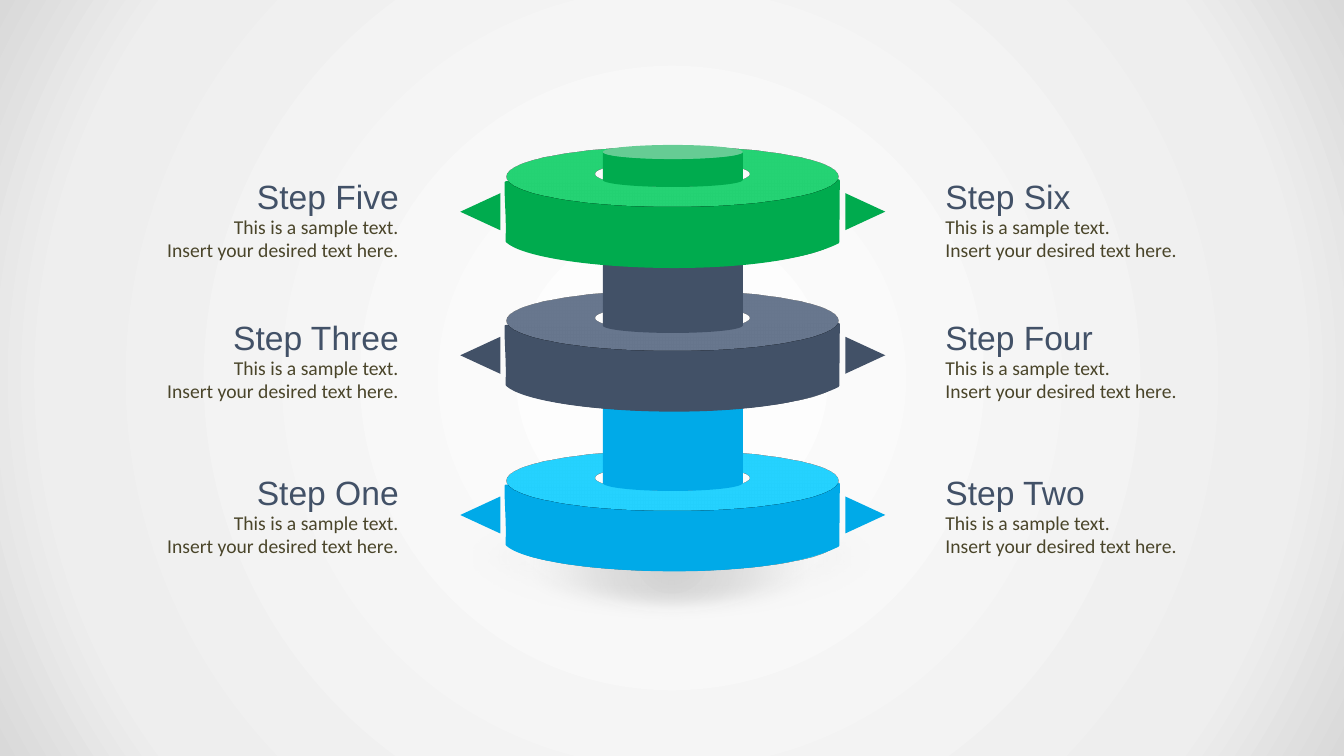
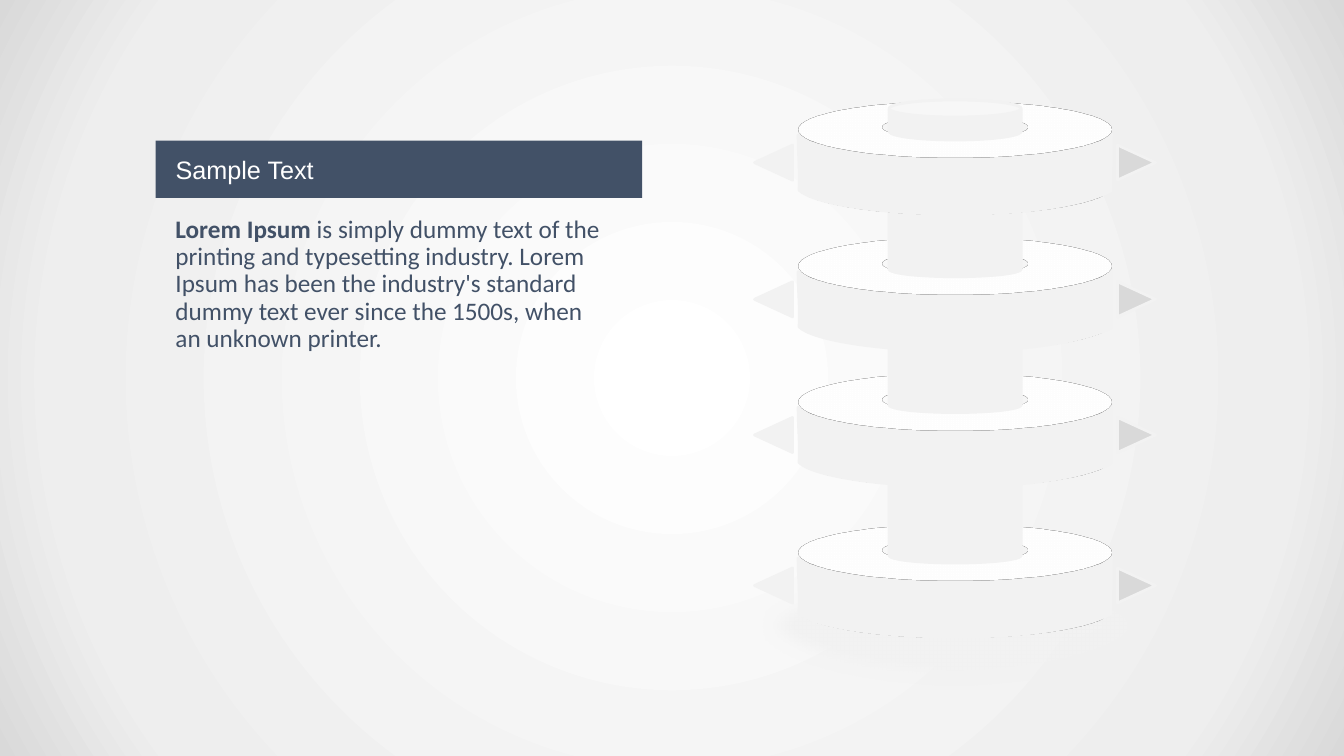
"""Builds two slides of stacked ring diagrams with step labels."""
from dataclasses import dataclass

from lxml import etree
from pptx import Presentation
from pptx.dml.color import RGBColor
from pptx.enum.shapes import MSO_SHAPE
from pptx.enum.text import MSO_ANCHOR, PP_ALIGN
from pptx.oxml.ns import qn
from pptx.util import Emu, Pt

CAN, OVAL, TRIANGLE = MSO_SHAPE.CAN, MSO_SHAPE.OVAL, MSO_SHAPE.ISOSCELES_TRIANGLE
LEFT, RIGHT, MIDDLE = PP_ALIGN.LEFT, PP_ALIGN.RIGHT, MSO_ANCHOR.MIDDLE
SCALE = 914400 / 100.8
HEADING_FONT, BODY_FONT = "Arial", "Calibri"
SOFT_EDGE = Pt(12)
TILT = "16788000"
BEZIER = 0.5523
RING_RADII, HOLE_RADII, RING_GAP = (164.5, 174), (77, 73), 60
BAND_START, BAND_HEIGHT = (-166.5, 9), 87
BAND_STEPS = [
    [(-85, 10)],
    [(-62.5, 24), (64.5, 27), (86.5, 8)],
    [(166, 7)],
    [(165.5, 68.5)],
    [(87.5, 107), (-136, 95), (-165.5, 67.5)],
    [(-164.5, 44), (-166.5, 32), BAND_START],
]
COLOURS = {
    "blue": "00AAE8", "navy": "425167", "green": "00AB4E", "pale": "F2F2F2",
    "arrow": "D9D9D9", "olive": "4A452A", "white": "FFFFFF",
}
BACKGROUND_STOPS = [(0, "FFFFFF", 100), (81, "EEEEEE", 100), (100, "D9D9D9", 100)]
SHADOW_STOPS = [(0, "BFBFBF", 74), (35, "D9D9D9", 73), (63, "F2F2F2", 51), (100, "F2F2F2", 15)]
SAMPLE_LINES = ["This is a sample text.", "Insert your desired text here."]
LOREM = (" is simply dummy text of the printing and typesetting industry. Lorem Ipsum has been "
         "the industry's standard dummy text ever since the 1500s, when an unknown printer.")


@dataclass
class Stack:
    """Sizes shared by every level of one stack."""
    centre_x: float
    factor: float
    can_left: float
    can_width: float
    arrow_centres: tuple
    arrow_size: tuple
    arrow_drop: float
    line: str
    right_arrow: str


STEP_STACK = Stack(672.5, 1, 602.8, 140, (480.3, 865.3), (37, 40), 38, None, None)
PALE_STACK = Stack(955, 0.942, 889.2, 132, (773.6, 1136.6), (35, 38), 36, "pale", "arrow")


def px(length):
    """Turn pixels into EMU."""
    return Emu(round(length * SCALE))


def rgb(name):
    """Look up a colour by name."""
    return RGBColor.from_string(COLOURS[name])


def set_radial_gradient(fill, element, stops):
    """Fill with a circular gradient of (position, colour, opacity) stops."""
    fill.gradient()
    gradient = next(element.iter(qn("a:gradFill")))
    for child in list(gradient):
        gradient.remove(child)
    stop_list = etree.SubElement(gradient, qn("a:gsLst"))
    for position, colour, opacity in stops:
        stop = etree.SubElement(stop_list, qn("a:gs"), pos=str(position * 1000))
        value = etree.SubElement(stop, qn("a:srgbClr"), val=colour)
        etree.SubElement(value, qn("a:alpha"), val=str(opacity * 1000))
    circle = etree.SubElement(gradient, qn("a:path"), {"path": "circle"})
    etree.SubElement(circle, qn("a:fillToRect"), {side: "50000" for side in "ltrb"})


def paint(shape, colour, line=None):
    """Give a shape a flat fill, an optional line and no shadow."""
    shape.shadow.inherit = False
    shape.fill.solid()
    shape.fill.fore_color.rgb = rgb(colour)
    if line:
        shape.line.color.rgb = rgb(line)
        shape.line.width = Pt(2)
    else:
        shape.line.fill.background()


def add_preset(slide, kind, left, top, width, height, colour, line=None):
    """Add a painted preset shape."""
    shape = slide.shapes.add_shape(kind, px(left), px(top), px(width), px(height))
    paint(shape, colour, line)
    return shape


def add_ground_shadow(slide, left, top, width, height, line=None, stops=None):
    """Add the soft oval under a stack."""
    oval = add_preset(slide, OVAL, left, top, width, height, "pale", line)
    if stops:
        set_radial_gradient(oval.fill, oval.element, stops)
    effects = next(oval.element.iter(qn("a:effectLst")))
    etree.SubElement(effects, qn("a:softEdge"), rad=str(SOFT_EDGE))


def ellipse(radii):
    """Describe an ellipse about the origin as a start and four curves."""
    x, y = radii
    bend_x, bend_y = x * BEZIER, y * BEZIER
    return (0, -y), [
        [(bend_x, -y), (x, -bend_y), (x, 0)],
        [(x, bend_y), (bend_x, y), (0, y)],
        [(-bend_x, y), (-x, bend_y), (-x, 0)],
        [(-x, -bend_y), (-bend_x, -y), (0, -y)],
    ]


def add_outline(shapes, contours, centre, factor, colour):
    """Add a freeform whose steps are lines (one point) or curves (three)."""
    def place(point):
        return tuple(px(middle + factor * offset) for middle, offset in zip(centre, point))

    builder = shapes.build_freeform(*place(contours[0][0]), scale=1.0)
    for index, (start, steps) in enumerate(contours):
        if index:
            builder.move_to(*place(start))
        builder.add_line_segments([place(point) for step in steps for point in step], close=True)
    shape = builder.convert_to_shape()
    segments = iter(list(shape.element.iter(qn("a:lnTo"))))
    for step in (step for contour in contours for step in contour[1]):
        first, *others = [next(segments) for point in step]
        if others:
            first.tag = qn("a:cubicBezTo")
            for other in others:
                first.append(other[0])
                other.getparent().remove(other)
    paint(shape, colour, colour)
    return shape


def tilt(shape):
    """Lean a shape back in perspective."""
    properties = shape.element.spPr
    scene = etree.SubElement(properties, qn("a:scene3d"))
    camera = etree.SubElement(scene, qn("a:camera"), prst="perspectiveRelaxed")
    etree.SubElement(camera, qn("a:rot"), lat=TILT, lon="0", rev="0")
    etree.SubElement(scene, qn("a:lightRig"), rig="threePt", dir="t")


def add_ring(slide, stack, centre_y, colour):
    """Add a grouped ring: its base, its front band and its top."""
    shapes = slide.shapes.add_group_shape().shapes
    factor, centre = stack.factor, (stack.centre_x, centre_y)
    base_centre = (stack.centre_x, centre_y + RING_GAP * factor)
    circles = [ellipse(HOLE_RADII), ellipse(RING_RADII)]
    tilt(add_outline(shapes, circles, base_centre, factor, colour))
    band = add_outline(shapes, [(BAND_START, BAND_STEPS)], centre, factor, colour)
    band.height = px(BAND_HEIGHT * factor)
    next(band.element.iter(qn("a:path"))).set("h", str(band.height))
    tilt(add_outline(shapes, circles, centre, factor, colour))


def add_arrows(slide, stack, centre_y, colour):
    """Add the arrows on both sides of a ring."""
    width, height = stack.arrow_size
    sides = zip(stack.arrow_centres, (270, 90), (colour, stack.right_arrow or colour))
    for centre_x, rotation, arrow_colour in sides:
        arrow = add_preset(slide, TRIANGLE, centre_x - width / 2,
                           centre_y + stack.arrow_drop - height / 2, width, height,
                           arrow_colour, stack.line)
        arrow.rotation = rotation


def add_stack(slide, stack, levels):
    """Add the rings with their posts from the lowest up, then the arrows."""
    for centre_y, can_top, can_height, bend, colour in levels:
        add_ring(slide, stack, centre_y, colour)
        post = add_preset(slide, CAN, stack.can_left, can_top, stack.can_width, can_height,
                          colour, stack.line)
        post.adjustments[0] = bend
    for level in levels:
        add_arrows(slide, stack, level[0], level[-1])


def style(para, font, size, colour, align=LEFT):
    """Set the font and alignment of a paragraph."""
    para.font.name, para.font.size, para.font.color.rgb = font, Pt(size), rgb(colour)
    para.alignment = align


def add_text(slide, left, top, width, height, lines, font, size, colour, align=LEFT):
    """Add a wrapped text box with one paragraph per line."""
    box = slide.shapes.add_textbox(px(left), px(top), px(width), px(height))
    frame = box.text_frame
    frame.word_wrap = True
    frame.text = "\n".join(lines)
    for para in frame.paragraphs:
        style(para, font, size, colour, align)
    return frame


def add_step(slide, edge, top, name, align):
    """Add a step name and its sample lines, aligned to one edge."""
    for drop, width, height, lines, font, size, colour in [
            (39.3, 269, 61.5, SAMPLE_LINES, BODY_FONT, 14, "olive"),
            (0, 227, 50.5, ["Step " + name], HEADING_FONT, 24, "navy")]:
        left = edge - width if align == RIGHT else edge
        add_text(slide, left, top + drop, width, height, lines, font, size, colour, align)


def set_title(slide, left, top, width, height, text):
    """Turn the title placeholder into a filled heading bar."""
    title = slide.shapes.title
    title.left, title.top, title.width, title.height = map(px, (left, top, width, height))
    paint(title, "navy")
    frame = title.text_frame
    frame.text = text
    frame.vertical_anchor = MIDDLE
    frame.margin_left = frame.margin_right = px(20)
    frame.margin_top = frame.margin_bottom = px(5)
    style(frame.paragraphs[0], HEADING_FONT, 18, "white")


def build_steps(deck):
    """Build the slide with six steps around three coloured rings."""
    slide = deck.slides.add_slide(deck.slide_layouts[6])
    add_ground_shadow(slide, 460, 494, 424, 127, stops=SHADOW_STOPS)
    add_stack(slide, STEP_STACK, [(477, 386, 105, 0.152, "blue"),
                                  (317.3, 228, 105, 0.142, "navy"),
                                  (173.7, 145, 42, 0.336, "green")])
    for top, left_name, right_name in [(466.5, "One", "Two"), (311.5, "Three", "Four"),
                                       (170.5, "Five", "Six")]:
        add_step(slide, 408.7, top, left_name, RIGHT)
        add_step(slide, 935.5, top, right_name, LEFT)


def build_sample(deck):
    """Build the slide with a heading, a paragraph and four pale rings."""
    slide = deck.slides.add_slide(deck.slide_layouts[5])
    set_title(slide, 155.6, 140.6, 486.5, 57.3, "Sample Text")
    add_ground_shadow(slide, 754, 565.5, 401, 120, "pale")
    add_stack(slide, PALE_STACK, [(549.5, 464, 99, 0.152, "pale"),
                                  (399, 313.5, 99, 0.152, "pale"),
                                  (263.3, 177.7, 99, 0.152, "pale"),
                                  (126.6, 100, 40, 0.428, "pale")])
    frame = add_text(slide, 165.6, 211.8, 451, 157, ["Lorem Ipsum"], BODY_FONT, 18, "navy")
    para = frame.paragraphs[0]
    para.line_spacing, para.space_before = 0.9, Pt(10)
    para.runs[0].font.bold = True
    para.add_run().text = LOREM


def main():
    """Build and save the deck."""
    deck = Presentation()
    deck.slide_width, deck.slide_height = px(1344), px(756)
    master = deck.slide_master
    set_radial_gradient(master.background.fill, master.element, BACKGROUND_STOPS)
    build_steps(deck)
    build_sample(deck)
    deck.save("out.pptx")


main()
